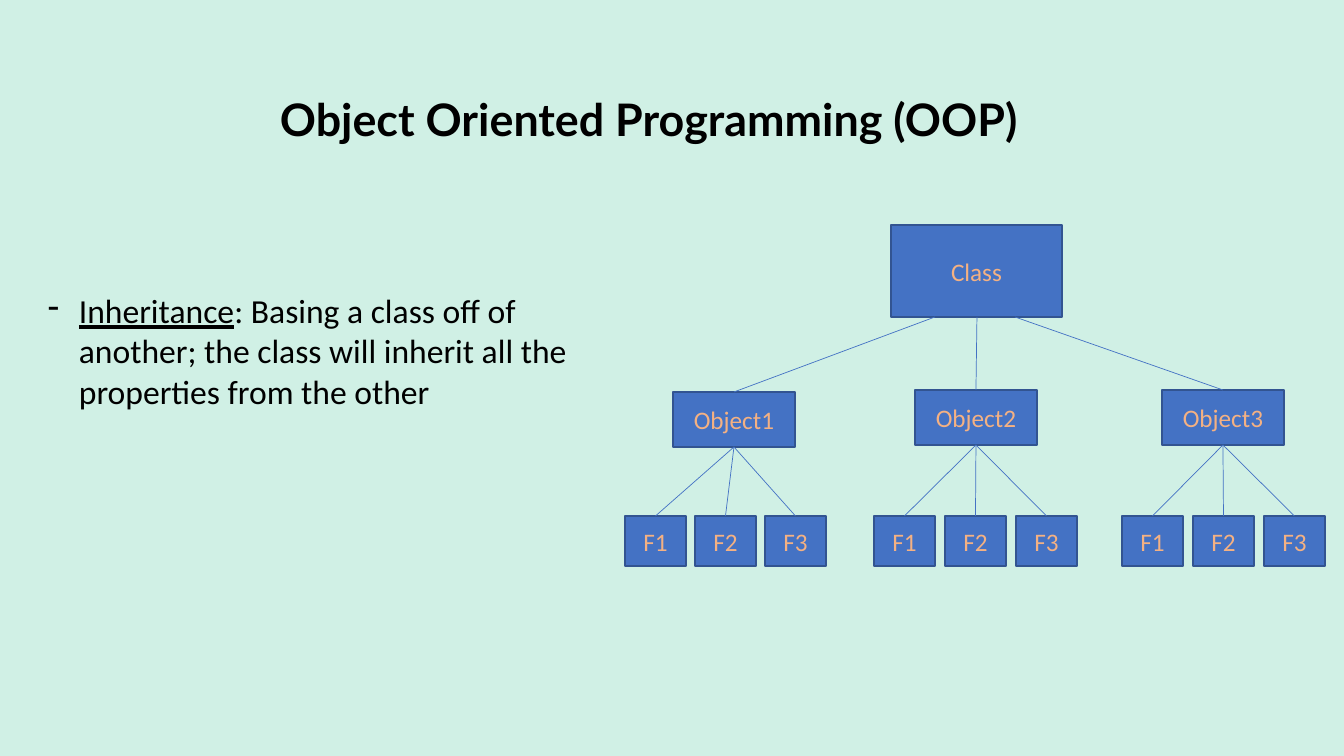
from lxml.etree import SubElement
from pptx import Presentation
from pptx.dml.color import RGBColor
from pptx.enum.shapes import MSO_CONNECTOR as Connector, MSO_SHAPE as Shape
from pptx.enum.text import MSO_ANCHOR as Anchor, PP_ALIGN as Align
from pptx.oxml.ns import qn
from pptx.util import Pt

TITLE = "Object Oriented Programming (OOP)"
TERM = "Inheritance"
MEANING = ": Basing a class off of another; the class will inherit all the properties from the other"
ROOT = "Class"
FEATURES = ["F1", "F2", "F3"]
OBJECTS = [
    dict(name="Object1", left=673, top=392, root_x=935, feature_left=625, pitch=70),
    dict(name="Object2", left=915, top=390, root_x=977, feature_left=874, pitch=71),
    dict(name="Object3", left=1162, top=390, root_x=1015, feature_left=1122, pitch=71),
]

TITLE_BOX = (270, 87, 806, 65)
BODY_BOX = (38, 285, 539, 214)
ROOT_BOX = (891, 225, 171, 92)
OBJECT_SIZE = (122, 55)
FEATURE_TOP = 516
FEATURE_SIZE = (61, 50)
BULLET_INDENT = 31

BACKGROUND, INK = "D0F0E5", "000000"
NODE_FILL, NODE_LINE, NODE_TEXT = "4472C4", "325491", "F4B183"

SLIDE_WIDTH, SLIDE_HEIGHT = 1344, 756
SCALE = 12192000 / SLIDE_WIDTH


def px(*lengths):
    return [round(length * SCALE) for length in lengths]


def color(code):
    return RGBColor.from_string(code)


def write(paragraph, text, size=18, font="Calibri", ink=INK, bold=False,
          underline=False, align=Align.LEFT):
    paragraph.alignment = align
    run = paragraph.add_run()
    run.text = text
    run.font.size, run.font.name = Pt(size), font
    run.font.bold, run.font.underline = bold, underline
    run.font.color.rgb = color(ink)


def text_area(box):
    frame = slide.shapes.add_textbox(*px(*box)).text_frame
    frame.word_wrap = True
    return frame.paragraphs[0]


def node(label, box):
    rect = slide.shapes.add_shape(Shape.RECTANGLE, *px(*box))
    rect.shadow.inherit = False
    rect.fill.solid()
    rect.fill.fore_color.rgb = color(NODE_FILL)
    rect.line.color.rgb = color(NODE_LINE)
    rect.line.width = Pt(1)
    rect.text_frame.vertical_anchor = Anchor.MIDDLE
    write(rect.text_frame.paragraphs[0], label, ink=NODE_TEXT, align=Align.CENTER)


def link(start, end):
    line = slide.shapes.add_connector(Connector.STRAIGHT, *px(*start, *end))
    line.line.color.rgb = color(NODE_FILL)
    line.line.width = Pt(0.5)
    SubElement(line._element.spPr, qn("a:effectLst"))


prs = Presentation()
prs.slide_width, prs.slide_height = px(SLIDE_WIDTH, SLIDE_HEIGHT)
slide = prs.slides.add_slide(prs.slide_layouts[6])
slide.background.fill.solid()
slide.background.fill.fore_color.rgb = color(BACKGROUND)

write(text_area(TITLE_BOX), TITLE, size=32, font="Lato", bold=True)

definition = text_area(BODY_BOX)
write(definition, TERM, size=24, underline=True)
write(definition, MEANING, size=24)
properties = definition._p.get_or_add_pPr()
indent = px(BULLET_INDENT)[0]
properties.set("marL", str(indent))
properties.set("indent", str(-indent))
SubElement(properties, qn("a:buChar"), char="-")

node(ROOT, ROOT_BOX)
root_bottom = ROOT_BOX[1] + ROOT_BOX[3]
object_width, object_height = OBJECT_SIZE
for item in OBJECTS:
    node(item["name"], (item["left"], item["top"], *OBJECT_SIZE))
    center = item["left"] + object_width / 2
    link((center, item["top"]), (item["root_x"], root_bottom))
    for index, feature in enumerate(FEATURES):
        left = item["feature_left"] + index * item["pitch"]
        node(feature, (left, FEATURE_TOP, *FEATURE_SIZE))
        link((left + FEATURE_SIZE[0] / 2, FEATURE_TOP),
             (center, item["top"] + object_height))

prs.save("out.pptx")
